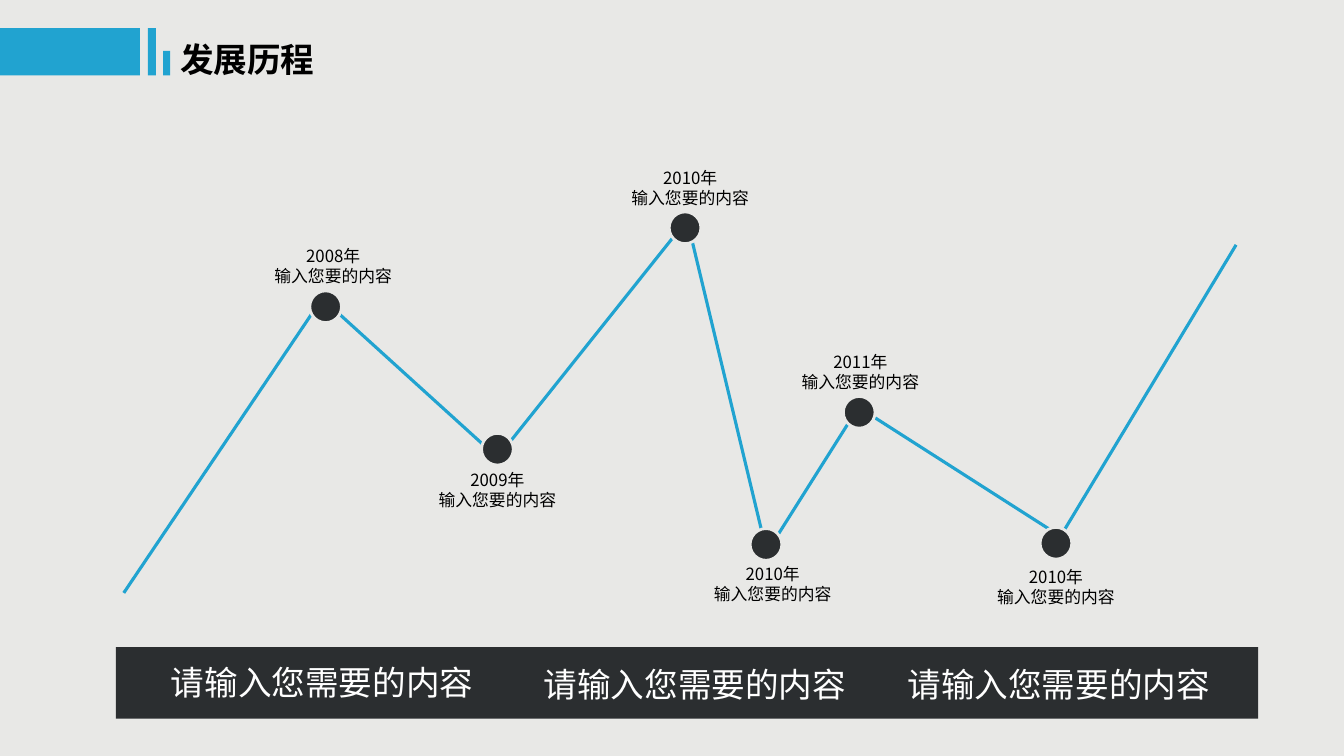
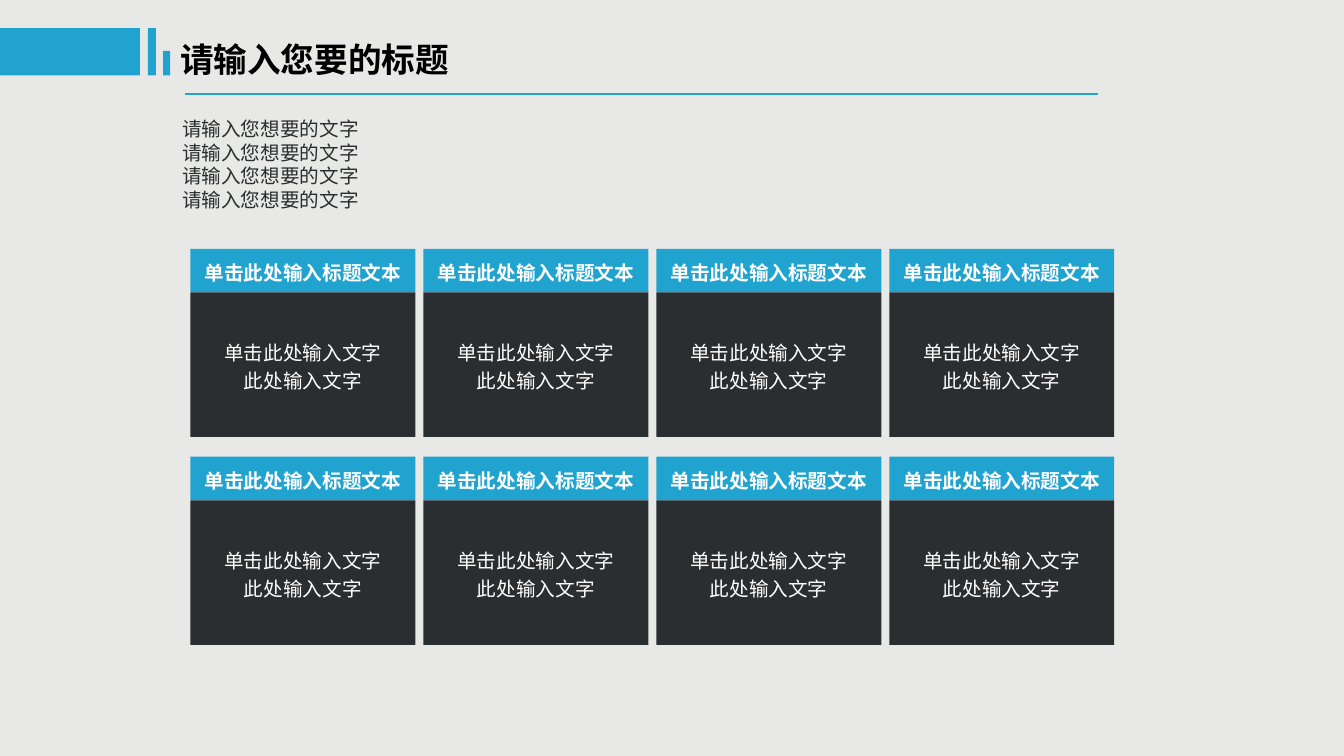
from dataclasses import dataclass
from itertools import pairwise, product
from typing import NamedTuple

from lxml.etree import SubElement
from pptx import Presentation
from pptx.dml.color import RGBColor
from pptx.enum.shapes import MSO_CONNECTOR as Connector, MSO_SHAPE as Preset
from pptx.enum.text import MSO_ANCHOR as Anchor, MSO_AUTO_SIZE as AutoSize, PP_ALIGN as Align
from pptx.oxml.ns import qn
from pptx.util import Cm, Pt


@dataclass(frozen=True)
class Theme:
    """Colours, font and type sizes shared by all slides."""
    background: RGBColor = RGBColor(0xE8, 0xE8, 0xE6)
    accent: RGBColor = RGBColor(0x21, 0xA3, 0xD0)
    dark: RGBColor = RGBColor(0x2B, 0x2E, 0x30)
    black: RGBColor = RGBColor(0, 0, 0)
    white: RGBColor = RGBColor(255, 255, 255)
    font: str = "Noto Sans CJK SC"
    title: int = 24
    body: int = 14
    label: int = 12


class Box(NamedTuple):
    """A rectangle in centimetres."""
    left: float
    top: float
    width: float
    height: float

    def inner(self, left, top, width, height):
        """Return a box placed relative to this one."""
        return Box(self.left + left, self.top + top, width, height)

    def point(self, position):
        """Return a relative position as slide coordinates."""
        return self.left + position[0], self.top + position[1]

    def lengths(self):
        """Return the four measures as lengths."""
        return [Cm(value) for value in self]


class Milestone(NamedTuple):
    """A year with its line bend, dot centre and label corner."""
    year: str
    bend: tuple
    dot: tuple
    label: tuple


THEME = Theme()
SLIDE_SIZE = (33.88, 19.05)
TITLE_ONLY = 5
HEADER = Box(0, 0.71, 11.94, 1.4)
TIMELINE = Box(3.12, 4.09, 28.04, 10.85)
FOOTER = Box(2.92, 16.31, 28.8, 1.8)
INTRO = Box(4.34, 2.82, 5.08, 3.23)
CARD_GRID = Box(4.8, 6.27, 23.29, 9.98)

MILESTONES = [
    Milestone("2008年", (5, 3.43), (5.09, 3.64), (2.13, 1.98)),
    Milestone("2009年", (9.42, 7.44), (9.42, 7.23), (6.27, 7.62)),
    Milestone("2010年", (14.2, 1.45), (14.15, 1.65), (11.13, 0)),
    Milestone("2010年", (16.21, 9.83), (16.19, 9.63), (13.21, 9.98)),
    Milestone("2011年", (18.52, 6.17), (18.54, 6.3), (15.42, 4.65)),
    Milestone("2010年", (23.34, 9.25), (23.5, 9.6), (20.35, 10.06)),
]
TIMELINE_START = (0, 10.85)
FINAL_RISE = ((23.34, 9.88), (28.04, 2.08))
FOOTER_TEXTS = [(1.14, 0.25), (10.54, 0.3), (19.71, 0.3)]


def write(frame, text, *, size, color, bold=False, align=Align.LEFT,
          anchor=Anchor.TOP, spacing=None, fit=True):
    """Fill a text frame, one paragraph for each line of text."""
    frame.word_wrap = True
    frame.auto_size = AutoSize.SHAPE_TO_FIT_TEXT if fit else AutoSize.NONE
    frame.vertical_anchor = anchor
    frame.margin_left = frame.margin_right = Cm(0.25)
    frame.margin_top = frame.margin_bottom = Cm(0.13)
    for index, line in enumerate(text.split("\n")):
        paragraph = frame.add_paragraph() if index else frame.paragraphs[0]
        paragraph.alignment = align
        paragraph.line_spacing = spacing
        run = paragraph.add_run()
        run.text = line
        run.font.size = Pt(size)
        run.font.bold = bold
        run.font.color.rgb = color
        run.font.name = THEME.font
        east_asian = SubElement(run._r.get_or_add_rPr(), qn("a:ea"))
        east_asian.set("typeface", THEME.font)


def add_text(slide, box, text, **style):
    """Add a text box."""
    write(slide.shapes.add_textbox(*box.lengths()).text_frame, text, **style)


def add_filled(shapes, box, color, preset=Preset.RECTANGLE):
    """Add a flat shape without an outline."""
    shape = shapes.add_shape(preset, *box.lengths())
    shape.shadow.inherit = False
    shape.fill.solid()
    shape.fill.fore_color.rgb = color
    shape.line.fill.background()
    return shape


def add_line(slide, start, end, width):
    """Add a straight accent line."""
    line = slide.shapes.add_connector(
        Connector.STRAIGHT, *[Cm(value) for value in (*start, *end)])
    line.line.color.rgb = THEME.accent
    line.line.width = Pt(width)
    SubElement(line._element.spPr, qn("a:effectLst"))


def add_header(slide, box, text):
    """Place the three bars and the title."""
    for left, top, width, height in [(0, 0, 3.53, 1.19), (3.73, 0, 0.2, 1.19),
                                     (4.11, 0.57, 0.18, 0.62)]:
        add_filled(slide.shapes, box.inner(left, top, width, height), THEME.accent)
    title = slide.shapes.title
    title.left, title.top, title.width, title.height = box.inner(
        4.29, 0.13, 7.65, 1.27).lengths()
    write(title.text_frame, text, size=THEME.title, color=THEME.black, bold=True)


def add_timeline(slide, box):
    """Draw the zigzag line with its dots and labels."""
    bends = [TIMELINE_START, *(milestone.bend for milestone in MILESTONES)]
    for start, end in [FINAL_RISE, *pairwise(bends)]:
        add_line(slide, box.point(start), box.point(end), 2.25)
    diameter = 0.8
    for milestone in MILESTONES:
        x, y = milestone.dot
        dot_box = box.inner(x - diameter / 2, y - diameter / 2, diameter, diameter)
        dot = add_filled(slide.shapes, dot_box, THEME.dark, Preset.OVAL)
        dot.line.color.rgb = THEME.background
        dot.line.width = Pt(2)
        add_text(slide, box.inner(*milestone.label, 6.3, 1.27),
                 f"{milestone.year}\n输入您要的内容",
                 size=THEME.label, color=THEME.black, align=Align.CENTER)


def add_footer(slide, box):
    """Place the dark band with its three texts."""
    add_filled(slide.shapes, box, THEME.dark)
    for left, top in FOOTER_TEXTS:
        add_text(slide, box.inner(left, top, 8.89, 1.27), "请输入您需要的内容",
                 size=THEME.title, color=THEME.white)


def add_card(slide, box):
    """Place a card as a group of heading and body."""
    shapes = slide.shapes.add_group_shape().shapes
    heading_height = 1.1
    heading = add_filled(shapes, box.inner(0, 0, box.width, heading_height), THEME.accent)
    body = add_filled(shapes, box.inner(0, heading_height, box.width,
                                        box.height - heading_height), THEME.dark)
    for shape, text, bold in [(heading, "单击此处输入标题文本", True),
                              (body, "单击此处输入文字\n此处输入文字", False)]:
        write(shape.text_frame, text, size=THEME.body, color=THEME.white, bold=bold,
              align=Align.CENTER, anchor=Anchor.MIDDLE, spacing=1.2, fit=False)


def add_card_grid(slide, box, rows=2, columns=4, column_gap=0.2, row_gap=0.5):
    """Divide a box into equal cards."""
    width = (box.width - (columns - 1) * column_gap) / columns
    height = (box.height - (rows - 1) * row_gap) / rows
    for row, column in product(range(rows), range(columns)):
        add_card(slide, box.inner(column * (width + column_gap),
                                  row * (height + row_gap), width, height))


def add_slide(presentation, title):
    """Add a slide with the shared header."""
    slide = presentation.slides.add_slide(presentation.slide_layouts[TITLE_ONLY])
    add_header(slide, HEADER, title)
    return slide


def build_history(presentation):
    """Build the timeline slide."""
    slide = add_slide(presentation, "发展历程")
    add_timeline(slide, TIMELINE)
    add_footer(slide, FOOTER)


def build_cards(presentation):
    """Build the slide with the intro and the card grid."""
    slide = add_slide(presentation, "请输入您要的标题")
    add_line(slide, (4.67, 2.36), (27.69, 2.36), 1.5)
    phrase = "请输入您想要的文字"
    add_text(slide, INTRO, f"{phrase * 2}\n{phrase}\n{phrase}",
             size=THEME.body, color=THEME.dark)
    add_card_grid(slide, CARD_GRID)


def main():
    """Build and save the presentation."""
    presentation = Presentation()
    presentation.slide_width, presentation.slide_height = map(Cm, SLIDE_SIZE)
    background = presentation.slide_master.background.fill
    background.solid()
    background.fore_color.rgb = THEME.background
    build_history(presentation)
    build_cards(presentation)
    presentation.save("out.pptx")


if __name__ == "__main__":
    main()
